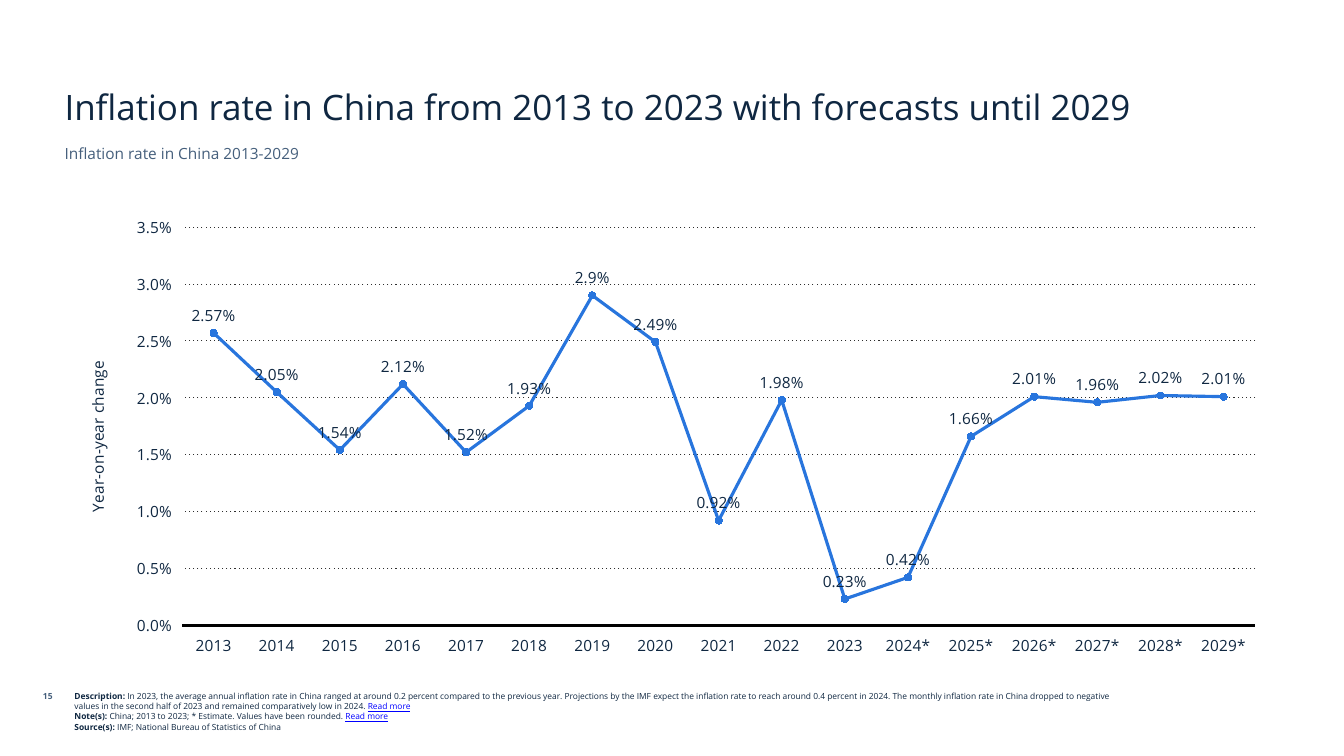
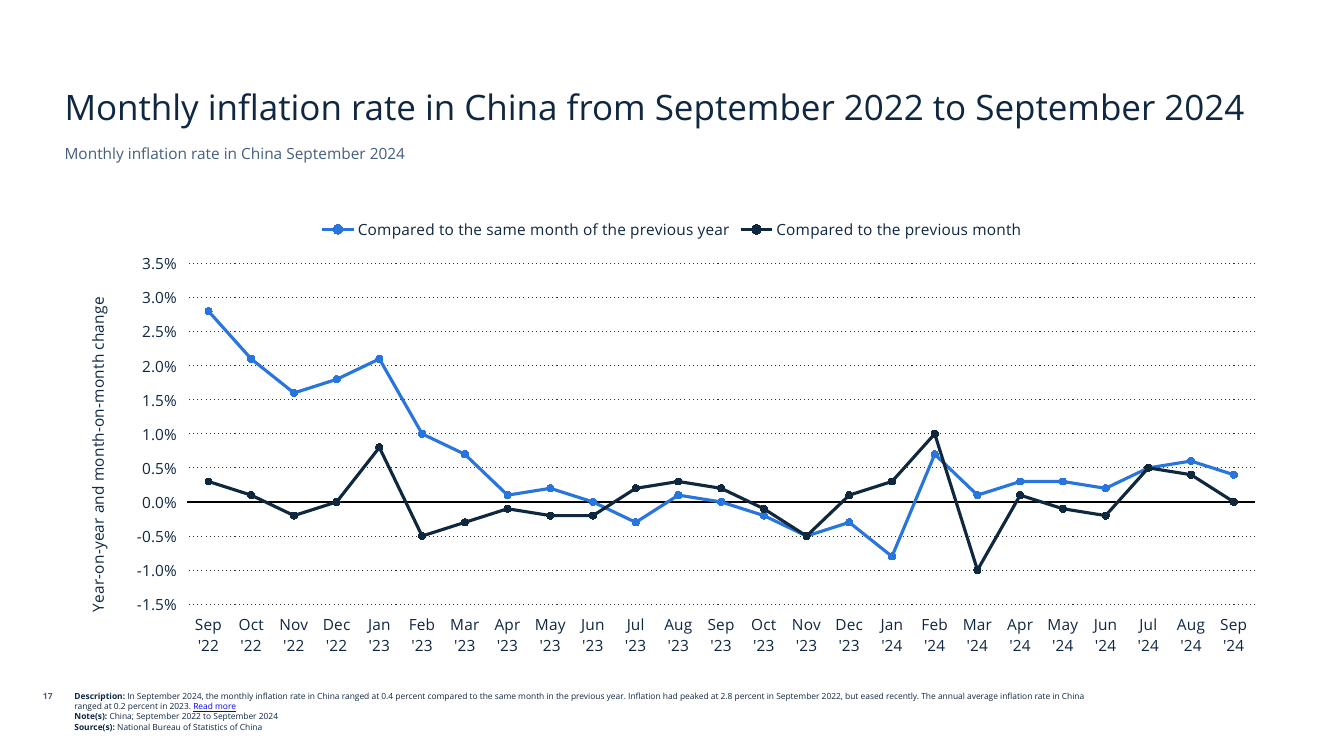
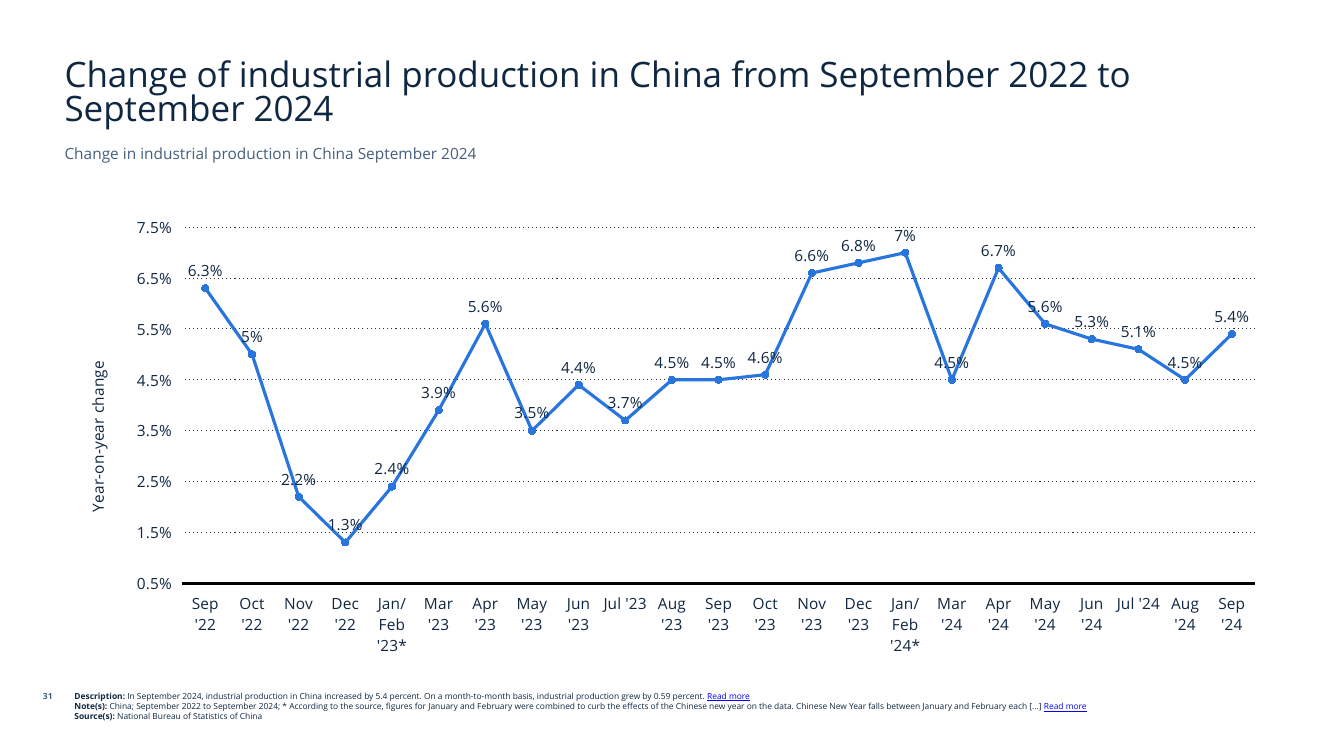
"""Build three slides on Chinese inflation and industrial production."""
from lxml import etree
from pptx import Presentation
from pptx.chart.data import CategoryChartData
from pptx.dml.color import RGBColor
from pptx.enum.chart import (
    XL_CHART_TYPE as ChartType,
    XL_LABEL_POSITION as LabelAt,
    XL_LEGEND_POSITION as LegendAt,
    XL_MARKER_STYLE as Marker,
    XL_TICK_LABEL_POSITION as TickLabelAt,
    XL_TICK_MARK as Tick,
)
from pptx.enum.dml import MSO_LINE as Dash
from pptx.enum.text import MSO_ANCHOR as Anchor, MSO_AUTO_SIZE as AutoSize, PP_ALIGN as Align
from pptx.oxml.ns import qn
from pptx.util import Inches, Pt

FONT = "Open Sans"
NAVY, SLATE, LINK, GRID, BLACK = "0F2741", "455F7C", "0000FF", "2F2F2F", "000000"
SERIES_COLOURS = ["2875DD", "0F283E"]
MORE = "Read more"

TITLE_BOX = (0.54, 0.46, 12.24, 0.86)
SUBTITLE_BOX = (0.54, 1.38, 12.24, 0.34)
CHART_BOX = (0.64, 2.06, 12.05, 4.54)
NUMBER_BOX = (-0.1, 6.81, 0.72, 0.3)
NOTES_BOX = (0.64, 6.81, 10.47, 0.58)

MONTHS = "Jan Feb Mar Apr May Jun Jul Aug Sep Oct Nov Dec".split()
SEP_TO_SEP = [f"{MONTHS[m % 12]} '{22 + m // 12}" for m in range(8, 33)]
JOINED_MONTHS = [
    month.replace("Jan", "Jan/Feb") + "*" if month.startswith("Jan") else month
    for month in SEP_TO_SEP if not month.startswith("Feb")
]

SLIDES = [
    {
        "number": 15,
        "title": "Inflation rate in China from 2013 to 2023 with forecasts until 2029",
        "subtitle": "Inflation rate in China 2013-2029",
        "axis": "Year-on-year change",
        "scale": (0, 0.035, 0.005),
        "categories": [f"{year}*" if year > 2023 else str(year) for year in range(2013, 2030)],
        "series": {
            "Series 1": [0.0257, 0.0205, 0.0154, 0.0212, 0.0152, 0.0193, 0.029, 0.0249, 0.0092,
                         0.0198, 0.0023, 0.0042, 0.0166, 0.0201, 0.0196, 0.0202, 0.0201],
        },
        "labelled": True,
        "notes": [
            ("Description: ", "In 2023, the average annual inflation rate in China ranged at around "
             "0.2 percent compared to the previous year. Projections by the IMF expect the inflation "
             "rate to reach around 0.4 percent in 2024. The monthly inflation rate in China dropped "
             "to negative values in the second half of 2023 and remained comparatively low in 2024. ",
             MORE),
            ("Note(s): ", "China; 2013 to 2023; * Estimate. Values have been rounded. ", MORE),
            ("Source(s): ", "IMF; National Bureau of Statistics of China"),
        ],
    },
    {
        "number": 17,
        "title": "Monthly inflation rate in China from September 2022 to September 2024",
        "subtitle": "Monthly inflation rate in China September 2024",
        "axis": "Year-on-year and month-on-month change",
        "scale": (-0.015, 0.035, 0.005),
        "categories": SEP_TO_SEP,
        "series": {
            "Compared to the same month of the previous year": [
                0.028, 0.021, 0.016, 0.018, 0.021, 0.01, 0.007, 0.001, 0.002, 0, -0.003, 0.001, 0,
                -0.002, -0.005, -0.003, -0.008, 0.007, 0.001, 0.003, 0.003, 0.002, 0.005, 0.006,
                0.004],
            "Compared to the previous month": [
                0.003, 0.001, -0.002, 0, 0.008, -0.005, -0.003, -0.001, -0.002, -0.002, 0.002,
                0.003, 0.002, -0.001, -0.005, 0.001, 0.003, 0.01, -0.01, 0.001, -0.001, -0.002,
                0.005, 0.004, 0],
        },
        "labelled": False,
        "notes": [
            ("Description: ", "In September 2024, the monthly inflation rate in China ranged at 0.4 "
             "percent compared to the same month in the previous year. Inflation had peaked at 2.8 "
             "percent in September 2022, but eased recently. The annual average inflation rate in "
             "China ranged at 0.2 percent in 2023. ", MORE),
            ("Note(s): ", "China; September 2022 to September 2024"),
            ("Source(s): ", "National Bureau of Statistics of China"),
        ],
    },
    {
        "number": 31,
        "title": "Change of industrial production in China from September 2022 to September 2024",
        "title_spacing": 0.8,
        "subtitle": "Change in industrial production in China September 2024",
        "axis": "Year-on-year change",
        "scale": (0.005, 0.075, 0.01),
        "categories": JOINED_MONTHS,
        "series": {
            "Series 1": [0.063, 0.05, 0.022, 0.013, 0.024, 0.039, 0.056, 0.035, 0.044, 0.037, 0.045,
                         0.045, 0.046, 0.066, 0.068, 0.07, 0.045, 0.067, 0.056, 0.053, 0.051, 0.045,
                         0.054],
        },
        "labelled": True,
        "notes": [
            ("Description: ", "In September 2024, industrial production in China increased by 5.4 "
             "percent. On a month-to-month basis, industrial production grew by 0.59 percent. ", MORE),
            ("Note(s): ", "China; September 2022 to September 2024; * According to the source, "
             "figures for January and February were combined to curb the effects of the Chinese new "
             "year on the data. Chinese New Year falls between January and February each [...] ",
             MORE),
            ("Source(s): ", "National Bureau of Statistics of China"),
        ],
    },
]


def rgb(colour):
    """Turn a hex string into a colour."""
    return RGBColor.from_string(colour)


def style(font, size, colour=NAVY, bold=False):
    """Apply the deck's typeface with a size, colour and weight."""
    font.name, font.size, font.bold = FONT, Pt(size), bold
    font.color.rgb = rgb(colour)


def place(shape, box):
    """Move a shape to a box given in inches."""
    shape.left, shape.top, shape.width, shape.height = map(Inches, box)


def fill_line(shape, text, size, colour, bold=False, align=Align.LEFT, anchor=Anchor.TOP, spacing=1.0):
    """Write one styled paragraph into a shape."""
    frame = shape.text_frame
    frame.text = text
    frame.word_wrap, frame.auto_size, frame.vertical_anchor = True, AutoSize.NONE, anchor
    paragraph = frame.paragraphs[0]
    paragraph.alignment, paragraph.line_spacing, paragraph.space_before = align, spacing, Pt(0)
    style(paragraph.runs[0].font, size, colour, bold)


def add_notes(slide, notes):
    """Add the description, notes and source under the chart."""
    frame = slide.shapes.add_textbox(*map(Inches, NOTES_BOX)).text_frame
    frame.word_wrap = True
    for index, parts in enumerate(notes):
        paragraph = frame.add_paragraph() if index else frame.paragraphs[0]
        for position, part in enumerate(parts):
            run = paragraph.add_run()
            run.text = part
            style(run.font, 6, LINK if part == MORE else NAVY, bold=position == 0)
            if part == MORE:
                run.font.underline = True


def format_axes(chart, axis_title, scale):
    """Style both axes, the dotted grid and the value axis title."""
    for axis in (chart.category_axis, chart.value_axis):
        axis.major_tick_mark = axis.minor_tick_mark = Tick.NONE
        axis.tick_label_position = TickLabelAt.LOW
        style(axis.tick_labels.font, 11)
    baseline = chart.category_axis.format.line
    baseline.color.rgb, baseline.width = rgb(BLACK), Pt(2)

    values = chart.value_axis
    values.minimum_scale, values.maximum_scale, values.major_unit = scale
    values.tick_labels.number_format = "#,##0.0%"
    values.tick_labels.number_format_is_linked = False
    values.format.line.fill.background()
    values.has_major_gridlines = True
    grid = values.major_gridlines.format.line
    grid.color.rgb, grid.width, grid.dash_style = rgb(GRID), Pt(0.75), Dash.ROUND_DOT
    chart.element.xpath(".//c:majorGridlines//a:prstDash")[0].set("val", "dot")

    heading = values.axis_title.text_frame
    heading.text = axis_title
    style(heading.paragraphs[0].runs[0].font, 11)
    chart.element.xpath(".//c:valAx/c:title//a:bodyPr")[0].set("rot", "-5400000")


def percent_format(value):
    """Give the percent format with just the decimals a value needs."""
    decimals = f"{value * 100:.2f}".rstrip("0").partition(".")[2]
    return "0." + "0" * len(decimals) + "%" if decimals else "0%"


def label_points(chart, series):
    """Show each point's value above it."""
    labels = series.data_labels
    labels.show_value, labels.position = True, LabelAt.ABOVE
    style(labels.font, 9)
    for index in range(len(series.values)):
        label = series.points[index].data_label
        style(label.font, 11)
        label.position = LabelAt.ABOVE
    for value, index_mark in zip(series.values, chart.element.xpath(".//c:dLbl/c:idx")):
        number_format = etree.Element(
            qn("c:numFmt"), formatCode=percent_format(value), sourceLinked="0")
        index_mark.addnext(number_format)


def add_line_chart(slide, content):
    """Add the line chart with its markers, labels and legend."""
    data = CategoryChartData()
    data.categories = content["categories"]
    for name, values in content["series"].items():
        data.add_series(name, values)
    chart = slide.shapes.add_chart(ChartType.LINE_MARKERS, *map(Inches, CHART_BOX), data).chart
    chart.has_title = False
    style(chart.font, 11)
    format_axes(chart, content["axis"], content["scale"])

    plot = chart.plots[0]
    plot.vary_by_categories = False
    for series, colour in zip(plot.series, SERIES_COLOURS):
        series.smooth = False
        series.format.line.color.rgb, series.format.line.width = rgb(colour), Pt(2.25)
        series.marker.style, series.marker.size = Marker.CIRCLE, 5
        series.marker.format.fill.solid()
        series.marker.format.fill.fore_color.rgb = rgb(colour)
        series.marker.format.line.color.rgb = rgb(colour)
        if content["labelled"]:
            label_points(chart, series)

    chart.has_legend = len(content["series"]) > 1
    if chart.has_legend:
        chart.legend.position, chart.legend.include_in_layout = LegendAt.TOP, False
        style(chart.legend.font, 11)


def add_slide(deck, content):
    """Add one slide with headings, chart, number and notes."""
    slide = deck.slides.add_slide(deck.slide_layouts[0])
    title, subtitle = slide.placeholders
    place(title, TITLE_BOX)
    place(subtitle, SUBTITLE_BOX)
    fill_line(title, content["title"], 25, NAVY, anchor=Anchor.BOTTOM,
              spacing=content.get("title_spacing", 1.0))
    fill_line(subtitle, content["subtitle"], 11, SLATE)
    add_line_chart(slide, content)
    number = slide.shapes.add_textbox(*map(Inches, NUMBER_BOX))
    fill_line(number, str(content["number"]), 6, SLATE, bold=True, align=Align.RIGHT)
    add_notes(slide, content["notes"])


def main():
    """Build and save the deck."""
    deck = Presentation()
    deck.slide_width, deck.slide_height = Inches(13.33), Inches(7.5)
    for content in SLIDES:
        add_slide(deck, content)
    deck.save("out.pptx")


if __name__ == "__main__":
    main()
